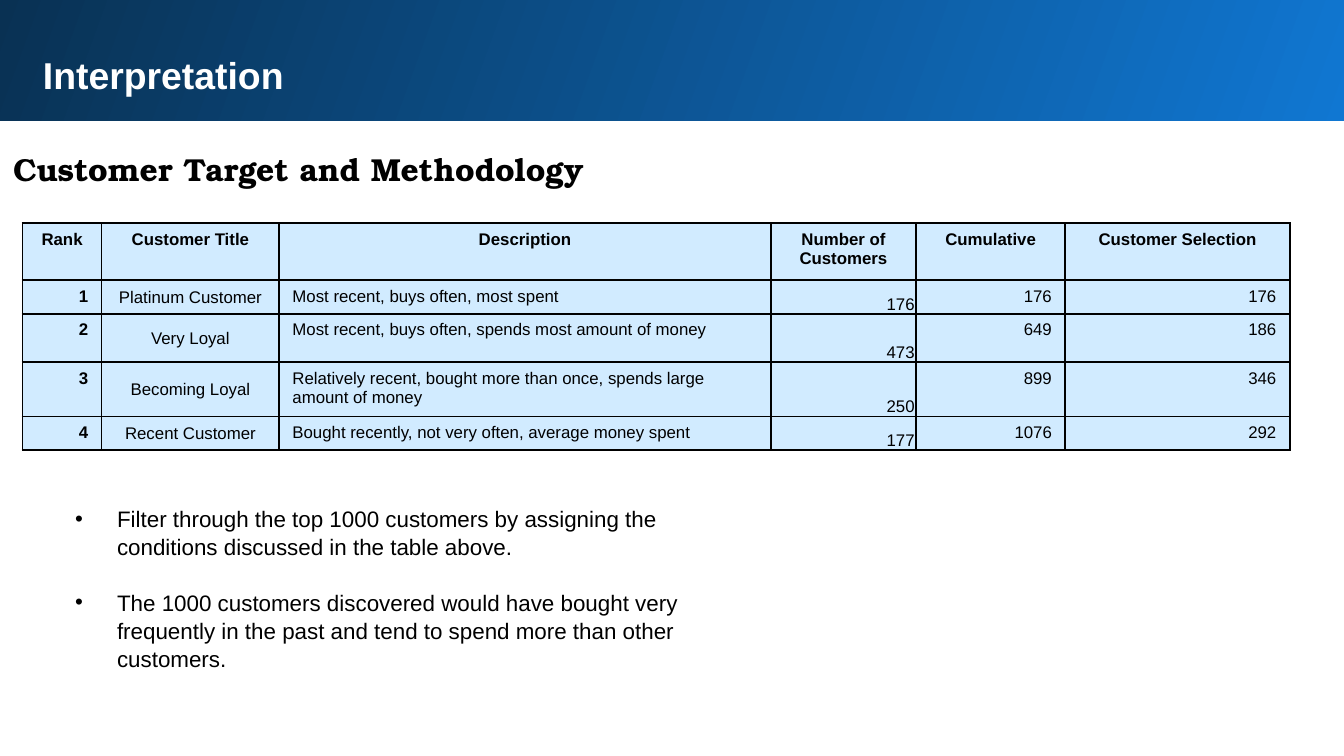
from lxml.etree import SubElement
from pptx import Presentation
from pptx.dml.color import RGBColor
from pptx.enum.shapes import MSO_SHAPE
from pptx.enum.text import MSO_ANCHOR, MSO_AUTO_SIZE, PP_ALIGN
from pptx.oxml.ns import qn
from pptx.util import Pt

COLORS = {
    "bright_blue": "1077D2",
    "dark_blue": "093153",
    "cell": "D1EBFF",
    "white": "FFFFFF",
    "black": "000000",
}

HEADERS = ["Rank", "Customer Title", "Description", "Number of Customers",
           "Cumulative", "Customer Selection"]
CUSTOMERS = [
    ["1", "Platinum Customer", "Most recent, buys often, most spent",
     "176", "176", "176"],
    ["2", "Very Loyal", "Most recent, buys often, spends most amount of money",
     "473", "649", "186"],
    ["3", "Becoming Loyal",
     "Relatively recent, bought more than once, spends large amount of money",
     "250", "899", "346"],
    ["4", "Recent Customer", "Bought recently, not very often, average money spent",
     "177", "1076", "292"],
]
COLUMN_WIDTHS = [42.5, 95, 263.5, 77.75, 80, 120.25]
ROW_HEIGHTS = [30.5, 18, 26, 29, 18]
COLUMN_ALIGNS = [PP_ALIGN.RIGHT, PP_ALIGN.CENTER, PP_ALIGN.LEFT,
                 PP_ALIGN.RIGHT, PP_ALIGN.RIGHT, PP_ALIGN.RIGHT]
# Columns with almost no margins, and their vertical anchors
TIGHT_COLUMNS = {1: MSO_ANCHOR.MIDDLE, 3: MSO_ANCHOR.BOTTOM}

BULLETS = [
    "Filter through the top 1000 customers by assigning the conditions "
    "discussed in the table above.",
    "The 1000 customers discovered would have bought very frequently in the "
    "past and tend to spend more than other customers.",
]


def rgb(name):
    return RGBColor.from_string(COLORS[name])


def write_text(paragraph, text, size, font="Arial", color="black", bold=False,
               align=PP_ALIGN.LEFT, line_spacing=1.0, space_before=0):
    paragraph.alignment = align
    paragraph.line_spacing = line_spacing
    paragraph.space_before = Pt(space_before)
    run = paragraph.add_run()
    run.text = text
    run.font.name = font
    run.font.size = Pt(size)
    run.font.bold = bold
    run.font.color.rgb = rgb(color)


def place_text_frame(shape, box, margins):
    shape.left, shape.top, shape.width, shape.height = map(Pt, box)
    frame = shape.text_frame
    frame.word_wrap = True
    frame.auto_size = MSO_AUTO_SIZE.NONE
    frame.vertical_anchor = MSO_ANCHOR.TOP
    (frame.margin_left, frame.margin_top,
     frame.margin_right, frame.margin_bottom) = map(Pt, margins)
    return frame


def add_header(slide, box):
    left, top, width, height = box
    band = slide.shapes.add_shape(MSO_SHAPE.RECTANGLE, *map(Pt, box))
    band.shadow.inherit = False
    band.line.fill.background()
    band.fill.gradient()
    band.fill.gradient_angle = 160
    for stop, color in zip(band.fill.gradient_stops, ("bright_blue", "dark_blue")):
        stop.color.rgb = rgb(color)
    # The band lies behind the title
    slide.shapes._spTree.insert(2, band._element)

    title_box = (left + 17.3, top + 22.3, 674.6, 59.8)
    frame = place_text_frame(slide.shapes.title, title_box, [7.2] * 4)
    write_text(frame.paragraphs[0], "Interpretation", 20, color="white", bold=True)


def add_subtitle(slide, box):
    text_box = slide.shapes.add_textbox(*map(Pt, box))
    frame = place_text_frame(text_box, box, [7.2] * 4)
    write_text(frame.paragraphs[0], "Customer Target and Methodology", 17,
               font="TeX Gyre Bonum", bold=True, line_spacing=1.15)


def add_borders(cell):
    properties = cell._tc.get_or_add_tcPr()
    for index, side in enumerate(("lnL", "lnR", "lnT", "lnB")):
        line = SubElement(properties, qn(f"a:{side}"), w=str(Pt(1)))
        fill = SubElement(line, qn("a:solidFill"))
        SubElement(fill, qn("a:srgbClr"), val=COLORS["black"])
        properties.insert(index, line)


def add_customer_table(slide, box):
    rows = [HEADERS] + CUSTOMERS
    table = slide.shapes.add_table(len(rows), len(HEADERS), *map(Pt, box)).table
    table.first_row = False
    table.horz_banding = False
    for column, width in zip(table.columns, COLUMN_WIDTHS):
        column.width = Pt(width)
    for row, height in zip(table.rows, ROW_HEIGHTS):
        row.height = Pt(height)

    for row_index, values in enumerate(rows):
        is_header = row_index == 0
        for column_index, value in enumerate(values):
            cell = table.cell(row_index, column_index)
            cell.fill.solid()
            cell.fill.fore_color.rgb = rgb("cell")
            add_borders(cell)
            if not is_header and column_index in TIGHT_COLUMNS:
                cell.vertical_anchor = TIGHT_COLUMNS[column_index]
                cell.margin_left = cell.margin_right = cell.margin_top = Pt(0.7)
                cell.margin_bottom = Pt(0)
            align = PP_ALIGN.CENTER if is_header else COLUMN_ALIGNS[column_index]
            write_text(cell.text_frame.paragraphs[0], value, 9,
                       bold=is_header or column_index == 0, align=align)


def add_bullets(slide, box):
    frame = place_text_frame(slide.placeholders[1], box, (7.2, 3.6, 7.2, 3.6))
    for index, text in enumerate(BULLETS):
        paragraph = frame.add_paragraph() if index else frame.paragraphs[0]
        write_text(paragraph, text, 12, line_spacing=1.05,
                   space_before=14.5 if index else 0)
        properties = paragraph._p.get_or_add_pPr()
        properties.set("marL", str(Pt(22.5)))
        properties.set("indent", str(-Pt(22.5)))
        SubElement(properties, qn("a:buFont"), typeface="Arial")
        SubElement(properties, qn("a:buChar"), char="•")


def main():
    presentation = Presentation()
    presentation.slide_width = Pt(720)
    presentation.slide_height = Pt(405)
    slide = presentation.slides.add_slide(presentation.slide_layouts[1])

    add_header(slide, (-1.5, -1.5, 723.5, 66.3))
    add_subtitle(slide, (0, 70, 674.6, 38))
    add_customer_table(slide, (12, 119.6, sum(COLUMN_WIDTHS), sum(ROW_HEIGHTS)))
    add_bullets(slide, (33, 266.4, 377.3, 94.3))

    presentation.save("out.pptx")


if __name__ == "__main__":
    main()
